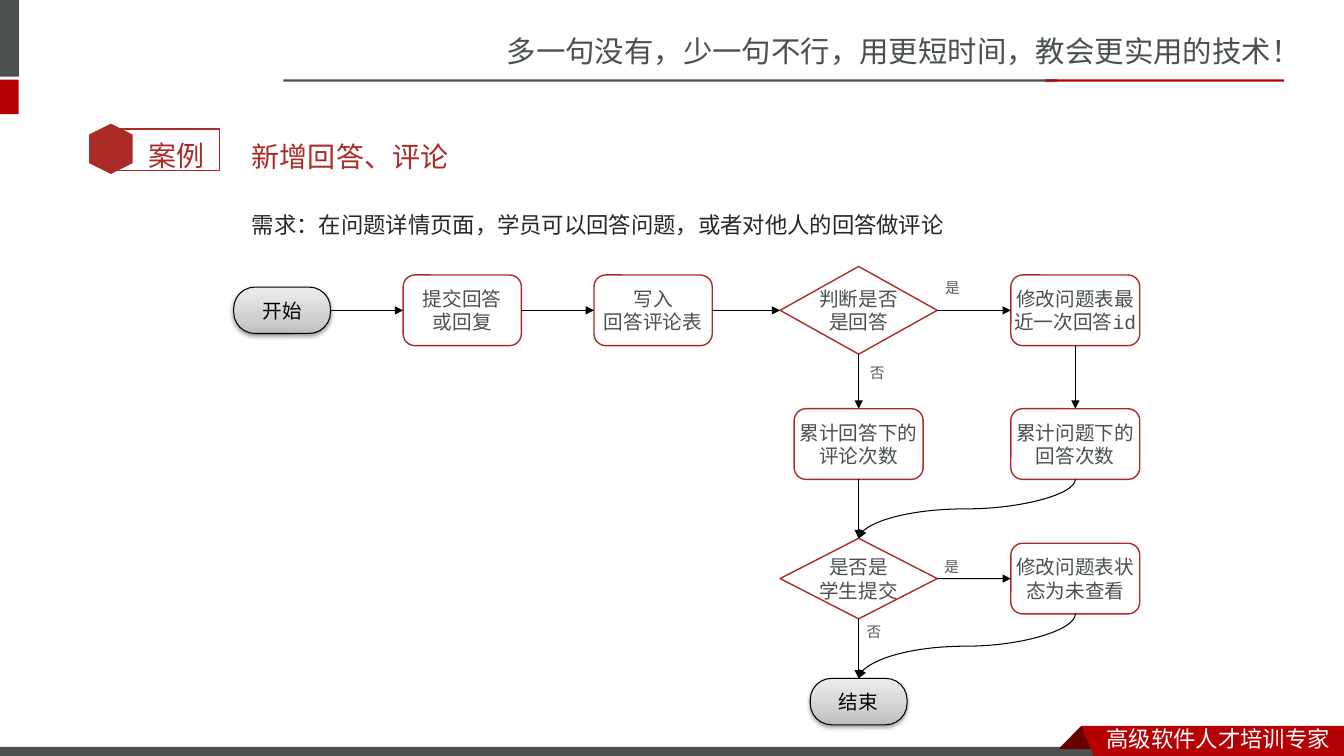
from dataclasses import dataclass

from lxml import etree
from pptx import Presentation
from pptx import util as u
from pptx.dml.color import RGBColor
from pptx.enum import shapes, text
from pptx.oxml import parse_xml
from pptx.oxml.ns import nsdecls, qn

GREY, RED, BRICK, DARK_RED = "49504F", "B60004", "AD2B26", "680000"
BLACK, WHITE, LABEL, BODY = "000000", "FFFFFF", "595959", "262626"
SANS, MONO = "Noto Sans CJK SC", "Courier New"
MSO = shapes.MSO_SHAPE
TOP, LEFT, BOTTOM, RIGHT = range(4)


@dataclass
class Node:
    name: str
    label: str
    x: float  # centre
    y: float
    w: float = 3.25
    h: float = 1.78
    kind: MSO = MSO.ROUNDED_RECTANGLE
    terminal: bool = False


@dataclass
class Arrow:
    start: str
    start_side: int
    end: str
    end_side: int
    curved: bool = False


@dataclass
class Caption:
    label: str
    x: float
    y: float
    w: float
    h: float
    size: float
    font: str
    color: str
    spacing: float = 1.0
    wrap: bool = True
    middle: bool = False


@dataclass
class Block:
    x: float
    y: float
    w: float
    h: float
    fill: str = ""
    line: str = ""
    line_width: float = 1
    kind: MSO = MSO.RECTANGLE
    rotation: float = 0


def rgb(value: str) -> RGBColor:
    return RGBColor.from_string(value)


def paint(sp, fill: str, line: str, width: float = 1) -> None:
    sp.shadow.inherit = False
    if fill:
        sp.fill.solid()
        sp.fill.fore_color.rgb = rgb(fill)
    else:
        sp.fill.background()
    if line:
        sp.line.color.rgb = rgb(line)
        sp.line.width = u.Pt(width)
    else:
        sp.line.fill.background()


def style_text(tf, size: float, font: str, color: str, align=None, spacing: float = 1.0) -> None:
    for p in tf.paragraphs:
        p.alignment = align
        p.line_spacing = spacing
        for r in p.runs:
            r.font.size = u.Pt(size)
            r.font.name = font
            r.font.color.rgb = rgb(color)
            ea = etree.SubElement(r.font._element, qn("a:ea"))
            ea.set("typeface", font)


def add_block(slide, b: Block) -> None:
    sp = slide.shapes.add_shape(b.kind, u.Cm(b.x), u.Cm(b.y), u.Cm(b.w), u.Cm(b.h))
    sp.rotation = b.rotation
    paint(sp, b.fill, b.line, b.line_width)


def add_outline(slide, points: list[tuple[float, float]], fill: str) -> None:
    first, *rest = [(u.Cm(x), u.Cm(y)) for x, y in points]
    builder = slide.shapes.build_freeform(*first)
    builder.add_line_segments(rest, close=True)
    paint(builder.convert_to_shape(), fill, "")


def add_caption(slide, c: Caption) -> None:
    sp = slide.shapes.add_textbox(u.Cm(c.x), u.Cm(c.y), u.Cm(c.w), u.Cm(c.h))
    tf = sp.text_frame
    tf.word_wrap = c.wrap
    tf.vertical_anchor = text.MSO_ANCHOR.MIDDLE if c.middle else text.MSO_ANCHOR.TOP
    tf.text = c.label
    style_text(tf, c.size, c.font, c.color, spacing=c.spacing)


def add_metal_look(sp) -> None:
    """Grey gradient and soft shadow of the start and end nodes."""
    sp_pr = sp._element.spPr
    stops = "".join(
        f'<a:gs pos="{pos * 1000}"><a:srgbClr val="{color}"/></a:gs>'
        for pos, color in [(0, "BDBDBD"), (35, "D1D1D1"), (100, "EEEEEE")])
    sp_pr.replace(sp_pr.find(qn("a:solidFill")), parse_xml(
        f'<a:gradFill {nsdecls("a")} rotWithShape="1"><a:gsLst>{stops}</a:gsLst>'
        '<a:lin ang="16200000" scaled="0"/></a:gradFill>'))
    sp_pr.find(qn("a:effectLst")).append(parse_xml(
        f'<a:outerShdw {nsdecls("a")} blurRad="40000" dist="20000" dir="5400000" rotWithShape="0">'
        '<a:srgbClr val="000000"><a:alpha val="38000"/></a:srgbClr></a:outerShdw>'))


def add_node(slide, n: Node):
    sp = slide.shapes.add_shape(
        n.kind, u.Cm(n.x - n.w / 2), u.Cm(n.y - n.h / 2), u.Cm(n.w), u.Cm(n.h))
    paint(sp, WHITE, BLACK if n.terminal else BRICK, 0.75 if n.terminal else 1)
    tf = sp.text_frame
    tf.word_wrap = n.kind != MSO.DIAMOND  # decision labels carry their own line breaks
    tf.vertical_anchor = text.MSO_ANCHOR.MIDDLE
    tf.text = n.label
    style_text(tf, 14, MONO, BLACK if n.terminal else GREY, text.PP_ALIGN.CENTER)
    if n.terminal:
        sp.adjustments[0] = 0.46
        add_metal_look(sp)
    else:
        tf.margin_left = tf.margin_right = 0
    return sp


def add_arrow(slide, a: Arrow, nodes: dict) -> None:
    kind = shapes.MSO_CONNECTOR.CURVE if a.curved else shapes.MSO_CONNECTOR.STRAIGHT
    c = slide.shapes.add_connector(kind, 0, 0, 0, 0)
    c.begin_connect(nodes[a.start], a.start_side)
    c.end_connect(nodes[a.end], a.end_side)
    sp_pr = c._element.spPr
    if a.curved:  # quarter turn, so that the curve leaves downwards
        mid_x, mid_y = (c.begin_x + c.end_x) // 2, (c.begin_y + c.end_y) // 2
        c.width, c.height = c.height, c.width
        c.left, c.top = mid_x - c.width // 2, mid_y - c.height // 2
        xfrm = sp_pr.find(qn("a:xfrm"))
        xfrm.attrib.pop("flipH", None)
        xfrm.set("rot", "5400000")
    c.line.color.rgb = rgb(BLACK)
    c.line.width = u.Pt(0.75)
    etree.SubElement(sp_pr.find(qn("a:ln")), qn("a:tailEnd")).set("type", "triangle")
    etree.SubElement(sp_pr, qn("a:effectLst"))


ROW_1, ROW_2, ROW_3 = 7.82, 11.19, 14.58
MID_COL, RIGHT_COL = 21.64, 27.1

BLOCKS = [
    Block(0, 0, 0.48, 1.93, GREY),
    Block(0, 2.01, 0.47, 0.87, RED),
    Block(7.14, 2, 19.5, 0.06, GREY),
    Block(26.34, 2, 6.02, 0.06, RED),
    Block(0, 18.82, 27.94, 0.23, GREY),
    Block(2.77, 3.25, 2.77, 1.05, line=BRICK),
    Block(2.16, 3.2, 1.27, 1.1, BRICK, kind=MSO.HEXAGON, rotation=90),
]
CAPTIONS = [
    Caption("多一句没有，少一句不行，用更短时间，教会更实用的技术！", 12.52, 0.71, 21.35, 1.19, 21, SANS, GREY),
    Caption("高级软件人才培训专家", 27.64, 18.16, 6.22, 0.89, 16, SANS, WHITE),
    Caption("案例", 3.5, 2.95, 2.16, 1.42, 20, "Calibri", BRICK, 1.5),
    Caption("新增回答、评论", 6.1, 2.62, 16.59, 1.78, 20, "Lato", BRICK, 2, middle=True),
    Caption("需求：在问题详情页面，学员可以回答问题，或者对他人的回答做评论",
            6.1, 4.85, 25.6, 1.8, 16, "Noto Sans CJK JP", BODY, 1.5),
] + [
    Caption(answer, x, y, 0.89, 0.71, 10.5, MONO, LABEL, wrap=False)
    for answer, x, y in [("否", 21.67, 9.04), ("是", 23.57, 6.91),
                         ("否", 21.59, 15.57), ("是", 23.55, 13.92)]
]
NODES = [
    Node("start", "开始", 7.11, ROW_1, 2.44, 1.17, terminal=True),
    Node("submit", "提交回答\n或回复", 11.65, ROW_1, 2.98),
    Node("write", "写入\n回答评论表", 16.46, ROW_1, 2.98),
    Node("is_answer", "判断是否\n是回答", MID_COL, ROW_1, 3.96, 2.21, MSO.DIAMOND),
    Node("latest", "修改问题表最近一次回答id", RIGHT_COL, ROW_1),
    Node("comments", "累计回答下的评论次数", MID_COL, ROW_2),
    Node("answers", "累计问题下的回答次数", RIGHT_COL, ROW_2),
    Node("is_student", "是否是\n学生提交", MID_COL, ROW_3, 3.96, 2.03, MSO.DIAMOND),
    Node("unread", "修改问题表状态为未查看", RIGHT_COL, ROW_3),
    Node("end", "结束", MID_COL, 17.68, 2.44, 1.17, terminal=True),
]
ARROWS = [Arrow(a, RIGHT, b, LEFT) for a, b in [
    ("start", "submit"), ("submit", "write"), ("write", "is_answer"),
    ("is_answer", "latest"), ("is_student", "unread")]]
ARROWS += [Arrow(a, BOTTOM, b, TOP) for a, b in [
    ("is_answer", "comments"), ("latest", "answers"),
    ("comments", "is_student"), ("is_student", "end")]]
ARROWS += [Arrow(a, BOTTOM, b, TOP, curved=True) for a, b in [
    ("answers", "is_student"), ("unread", "end")]]


def main() -> None:
    prs = Presentation()
    prs.slide_width, prs.slide_height = u.Cm(33.87), u.Cm(19.05)
    slide = prs.slides.add_slide(prs.slide_layouts[6])

    # Frame, footer ribbon and headings
    for block in BLOCKS:
        add_block(slide, block)
    add_outline(slide, [(27.25, 18.29), (27.81, 18.85), (27.79, 18.87), (26.72, 18.87), (26.7, 18.85)], DARK_RED)
    add_outline(slide, [(27.25, 18.29), (33.87, 18.29), (33.87, 19.05), (27.56, 19.05)], RED)
    for caption in CAPTIONS:
        add_caption(slide, caption)

    # Flowchart
    nodes = {n.name: add_node(slide, n) for n in NODES}
    for arrow in ARROWS:
        add_arrow(slide, arrow, nodes)

    prs.save("out.pptx")


if __name__ == "__main__":
    main()
